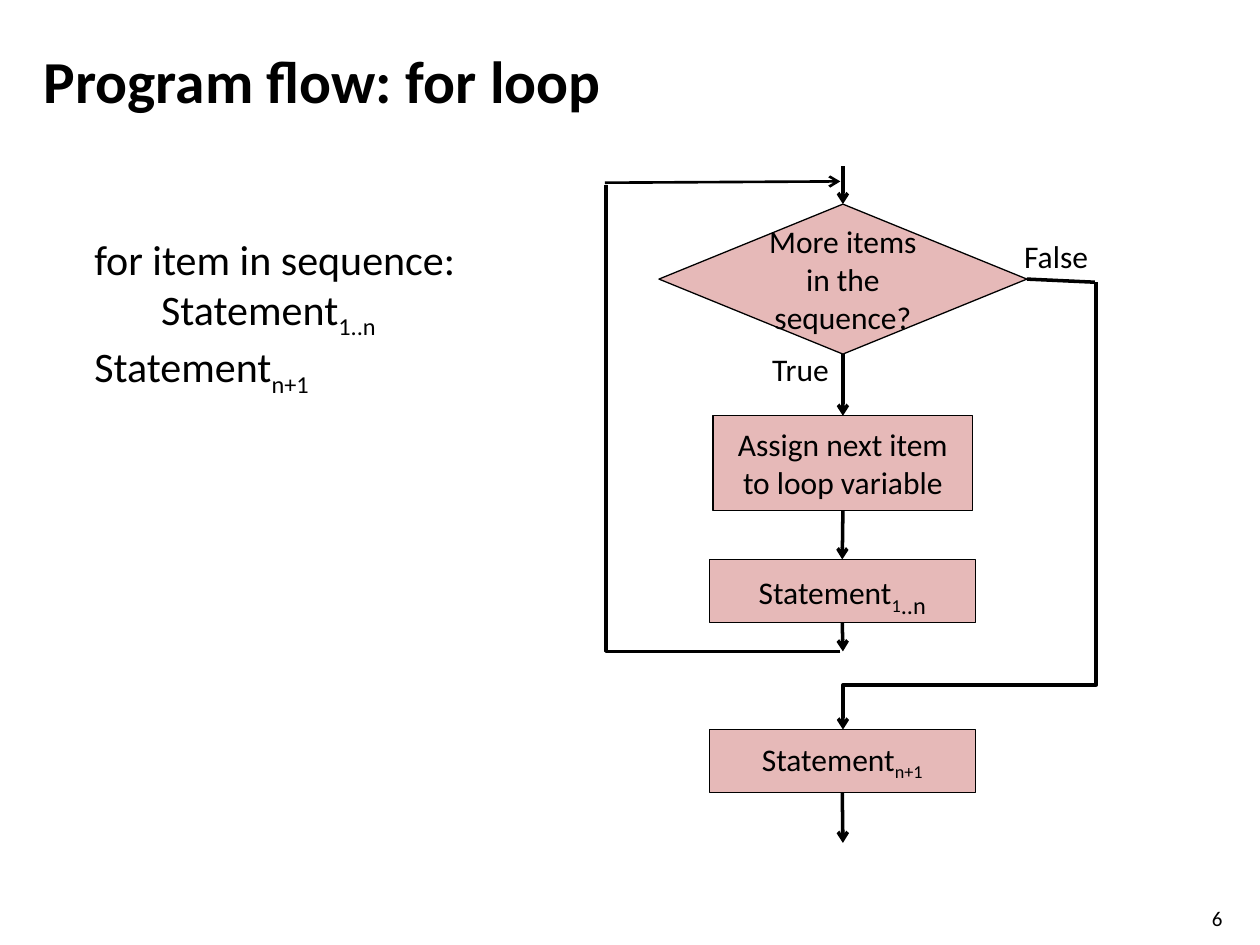
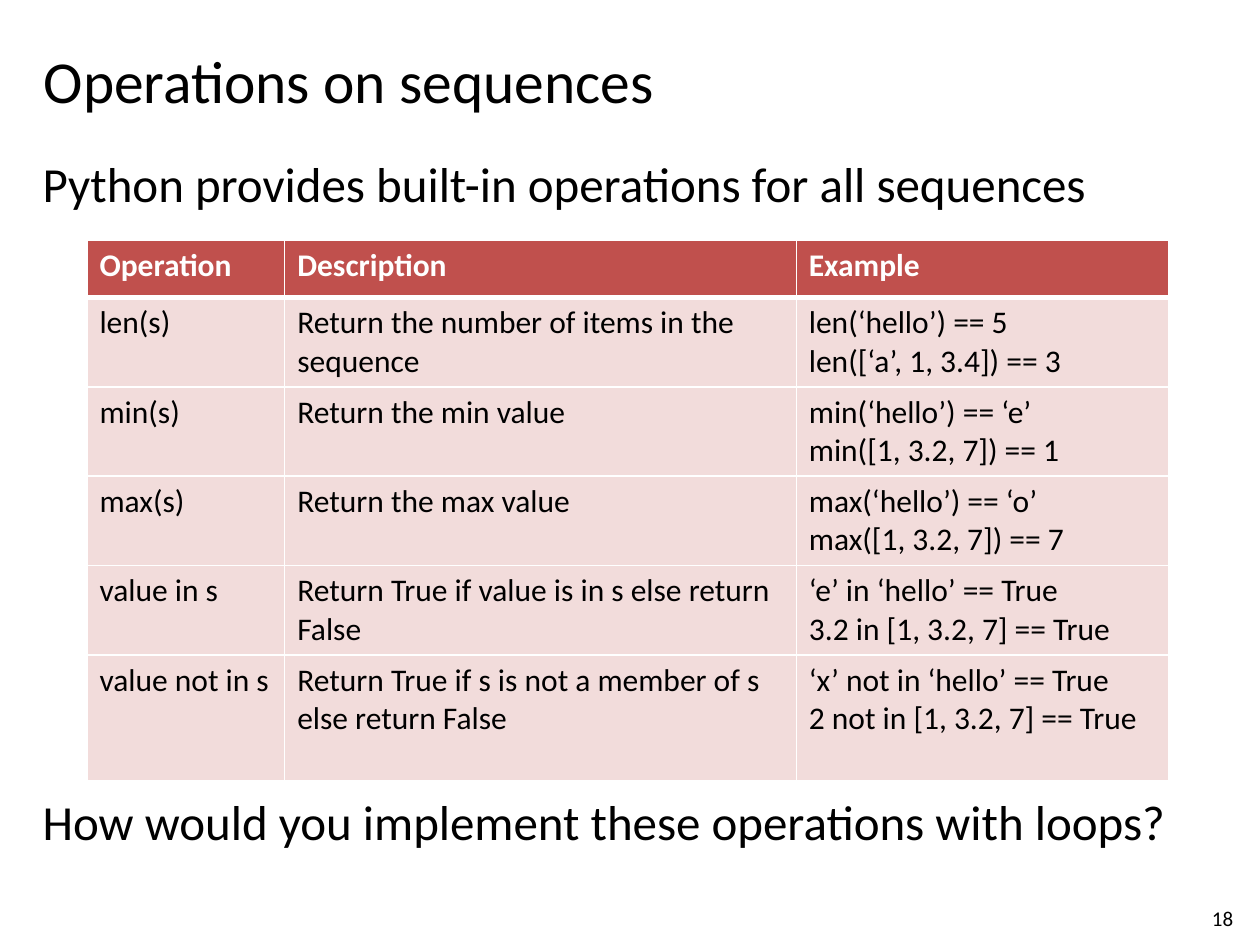
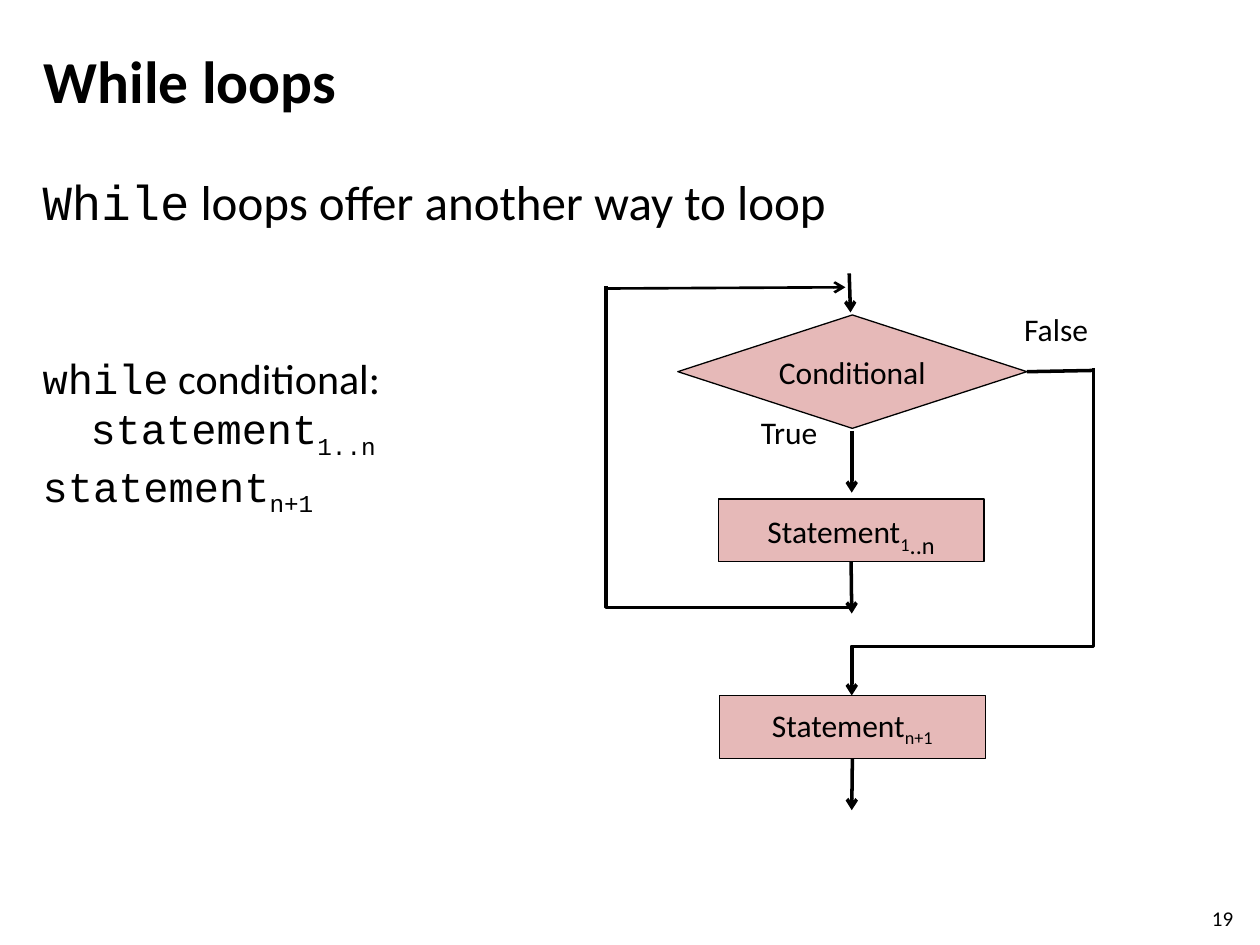
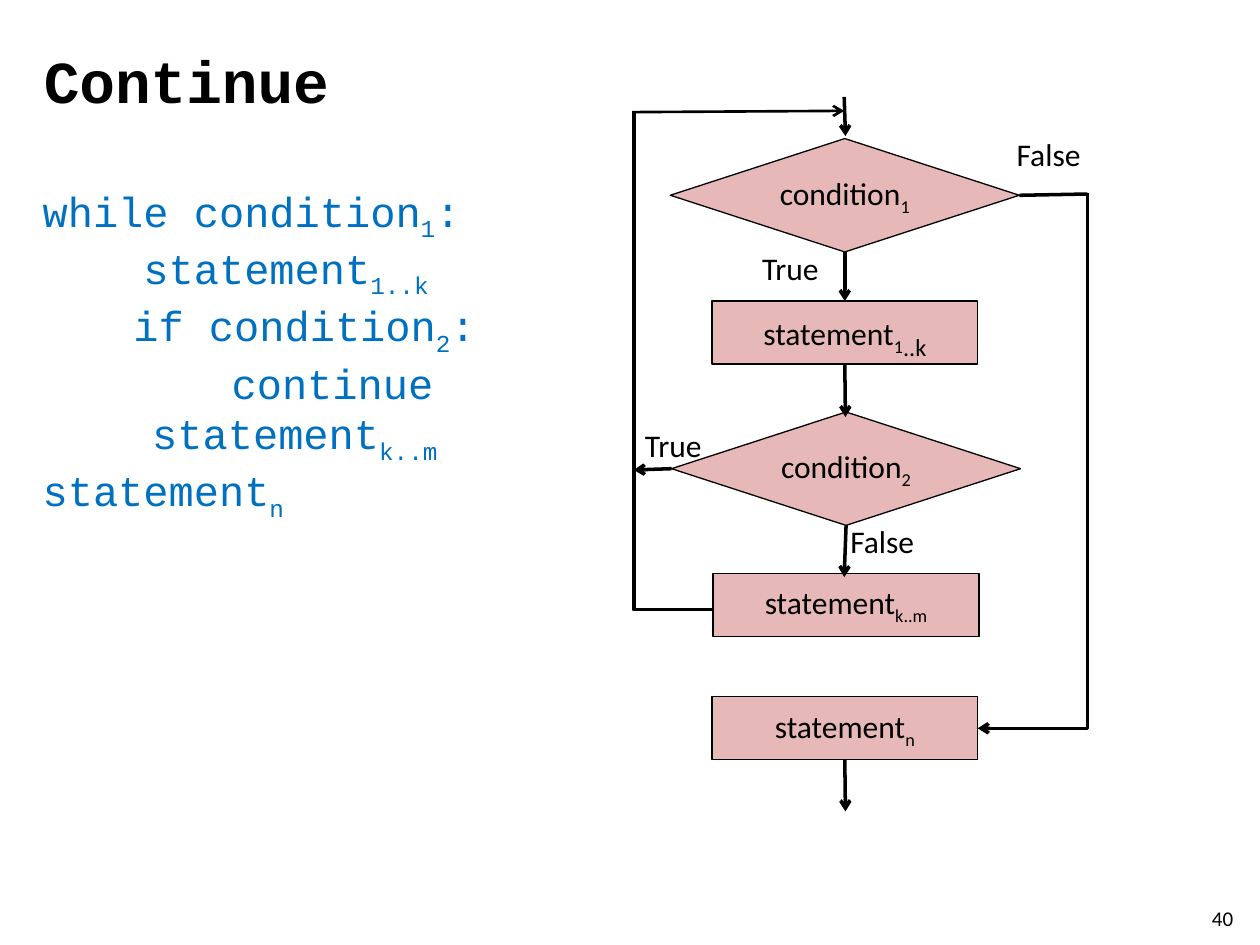
"""Build four slides on Python loops, with flow charts and a table."""
from lxml import etree
from pptx import Presentation, util as u
from pptx.dml.color import RGBColor
from pptx.enum import shapes, text
from pptx.oxml.ns import qn

hue = RGBColor.from_string
INCH, PT = u.Inches, u.Pt
BLACK, WHITE, PINK = "000000", "FFFFFF", "E6B9B8"
RED, PALE, BLUE = "C0504D", "F2DCDB", "0070C0"
MONO = {"name": "Courier New"}
SUB = {"sub": True}
BIG = {"sub": True, "size": PT(24)}
BASE = {"name": "Calibri", "size": PT(18), "bold": False, "color": BLACK}
CODE = BASE | {"size": PT(24)}
BODY = BASE | {"size": PT(28)}
BLOCK = CODE | MONO | {"color": BLUE}
DIAMOND = shapes.MSO_SHAPE.FLOWCHART_DECISION
RECT = shapes.MSO_SHAPE.RECTANGLE
TOP, LEFT, BOTTOM, RIGHT = range(4)


def write(frame, paras, base):
    """Fill a frame; a paragraph is a dict of settings, then its runs."""
    frame.word_wrap = True
    for n, (look, *runs) in enumerate(paras):
        para = frame.add_paragraph() if n else frame.paragraphs[0]
        for key, val in look.items():
            if key == "indent":
                para._p.get_or_add_pPr().set("marL", str(INCH(val)))
            else:
                setattr(para, key, val)
        for item in runs:
            words, extra = (item, {}) if isinstance(item, str) else item
            run = para.add_run()
            run.text = words
            for key, val in (base | extra).items():
                if key == "color":
                    run.font.color.rgb = hue(val)
                elif key == "sub":
                    run._r.get_or_add_rPr().set("baseline", "-25000")
                else:
                    setattr(run.font, key, val)


def style(con, width, head):
    """Give a connector its black line, its arrowhead and no shadow."""
    con.line.width = PT(width)
    con.line.color.rgb = hue(BLACK)
    prop = con.element.spPr
    if head:
        etree.SubElement(prop.find(qn("a:ln")), qn("a:tailEnd"), type="arrow")
    etree.SubElement(prop, qn("a:effectLst"))


pages = [
    {
        "title": "Program flow: for loop", "bold": True, "num": "6",
        "body": (0.65, 1.8, 3.82, 1.82), "base": CODE,
        "paras": [
            ({}, "for item in sequence:"),
            ({"indent": 0.53}, "Statement", ("1..n", SUB)),
            ({}, "Statement", ("n+1", SUB)),
        ],
        "nodes": {
            "assign": (RECT, 5.66, 3.3, 2.06, 0.75, ["Assign next item to loop variable"]),
            "inner": (RECT, 5.63, 4.44, 2.11, 0.5, ["Statement", ("1", SUB), ("..n", BIG)]),
            "test": (DIAMOND, 5.23, 1.62, 2.92, 1.19, ["More items in the sequence?"]),
            "next": (RECT, 5.63, 5.79, 2.11, 0.5, ["Statement", ("n+1", SUB)]),
        },
        "lines": [
            ((6.69, 1.32), ("test", TOP), 2, True),
            (("test", BOTTOM), ("assign", TOP), 2, True),
            (("assign", BOTTOM), ("inner", TOP), 2, True),
            (("inner", BOTTOM), (6.69, 5.17), 2, True),
            (("next", BOTTOM), (6.69, 6.69), 2, True),
            ((4.8, 1.45), (6.67, 1.44), 1.5, True),
            (("test", RIGHT), (8.69, 2.24), 2, False),
        ],
        "bends": [
            (6.67, 5.17, 4.81, 1.47, 0, False),
            (8.7, 2.24, 6.69, 5.79, 0.9, True),
        ],
        "labels": [("True", 6.03, 2.73, 1.08), ("False", 8.03, 1.83, 1.08)],
    },
    {
        "title": "Operations on sequences", "bold": False, "num": "18",
        "body": (0.24, 1.17, 9.76, 4.93), "base": BODY,
        "paras": [
            ({"space_after": PT(12)}, "Python provides built-in operations for all sequences"),
            ({"space_before": PT(319)}, "How would you implement these operations with loops?"),
        ],
        "table": [
            ["Operation", "Description", "Example"],
            ["len(s)", "Return the number of items in the sequence",
             "len(‘hello’) == 5\nlen([‘a’, 1, 3.4]) == 3"],
            ["min(s)", "Return the min value",
             "min(‘hello’) == ‘e’\nmin([1, 3.2, 7]) == 1"],
            ["max(s)", "Return the max value",
             "max(‘hello’) == ‘o’\nmax([1, 3.2, 7]) == 7"],
            ["value in s", "Return True if value is in s else return False",
             "‘e’ in ‘hello’ == True\n3.2 in [1, 3.2, 7] == True"],
            ["value not in s", "Return True if s is not a member of s else return False",
             "‘x’ not in ‘hello’ == True\n2 not in [1, 3.2, 7] == True"],
        ],
    },
    {
        "title": "While loops", "bold": True, "num": "19",
        "body": (0.24, 1.31, 9.25, 4.93), "base": CODE,
        "paras": [
            ({"space_after": PT(12)}, ("While", BODY | MONO),
             (" loops offer another way to loop", BODY)),
            ({"space_before": PT(58)}, ("while", MONO), " conditional:"),
            ({"indent": 0.38}, ("statement", MONO), ("1..n", MONO | SUB)),
            ({}, ("statement", MONO), ("n+1", MONO | SUB)),
        ],
        "nodes": {
            "inner": (RECT, 5.7, 3.96, 2.11, 0.5, ["Statement", ("1", SUB), ("..n", BIG)]),
            "test": (DIAMOND, 5.38, 2.5, 2.77, 0.9, ["Conditional"]),
            "next": (RECT, 5.71, 5.52, 2.11, 0.5, ["Statement", ("n+1", SUB)]),
        },
        "lines": [
            ((6.74, 2.17), (6.75, 2.48), 2, True),
            ((6.76, 3.42), (6.76, 3.91), 2, True),
            (("inner", BOTTOM), (6.76, 4.87), 2, True),
            (("next", BOTTOM), (6.76, 6.43), 2, True),
            ((4.81, 2.29), (6.71, 2.28), 1.5, True),
            (("test", RIGHT), (8.69, 2.94), 2, False),
        ],
        "bends": [
            (6.75, 4.82, 4.81, 2.27, 0, False),
            (8.68, 2.92, 6.76, 5.52, 0.85, True),
        ],
        "labels": [("True", 5.94, 3.23, 0.67), ("False", 8.03, 2.41, 1.08)],
    },
    {
        "title": "Continue", "bold": True, "face": MONO, "num": "40",
        "body": (0.24, 1.42, 9.5, 4.93), "base": BLOCK,
        "paras": [
            ({}, "while condition", ("1", SUB), ":"),
            ({"indent": 0.8}, "statement", ("1..k", SUB)),
            ({"indent": 0.72}, "if condition", ("2", SUB), ":"),
            ({"indent": 1.5}, "continue"),
            ({"indent": 0.87}, "statement", ("k..m", SUB)),
            ({}, "statement", ("n", SUB)),
        ],
        "nodes": {
            "first": (RECT, 5.65, 2.39, 2.11, 0.5, ["statement", ("1", SUB), ("..k", BIG)]),
            "test": (DIAMOND, 5.32, 1.1, 2.77, 0.9, ["condition", ("1", SUB)]),
            "last": (RECT, 5.65, 5.53, 2.11, 0.5, ["statement", ("n", SUB)]),
            "skip": (DIAMOND, 5.33, 3.27, 2.77, 0.9, ["condition", ("2", SUB)]),
            "rest": (RECT, 5.66, 4.55, 2.11, 0.5, ["statement", ("k..m", SUB)]),
        },
        "lines": [
            ((6.7, 0.77), (6.71, 1.08), 2, True),
            (("test", BOTTOM), ("first", TOP), 2, True),
            (("first", BOTTOM), (6.71, 3.31), 2, True),
            (("skip", BOTTOM), (6.7, 4.58), 2, True),
            (("last", BOTTOM), (6.71, 6.44), 2, True),
            ((5.02, 0.89), (6.7, 0.88), 1.5, True),
            (("test", RIGHT), (8.63, 1.54), 2, False),
            (("skip", LEFT), (5.03, 3.73), 2, True),
        ],
        "bends": [
            (5.65, 4.84, 5.03, 0.88, 0, False),
            (8.63, 1.53, 7.76, 5.78, None, True),
        ],
        "labels": [
            ("True", 5.95, 1.93, 0.67), ("False", 7.97, 1.02, 0.81),
            ("True", 5.02, 3.33, 0.81), ("False", 6.65, 4.09, 0.81),
        ],
    },
]

deck = Presentation()
deck.slide_width, deck.slide_height = INCH(10), INCH(7.5)

for page in pages:
    slide = deck.slides.add_slide(deck.slide_layouts[6])
    pool = slide.shapes
    head = BASE | {"size": PT(34), "bold": page["bold"]} | page.get("face", {})
    foot = BASE | {"size": PT(12)}
    for spot, paras, base in [
        (page["body"], page["paras"], page["base"]),
        ((0.25, 0.3, 8.67, 0.7), [({}, page["title"])], head),
        ((9.52, 7.14, 0.4, 0.24), [({}, page["num"])], foot),
    ]:
        write(pool.add_textbox(*map(INCH, spot)).text_frame, paras, base)

    nodes = {}
    for name, (kind, *spot, runs) in page.get("nodes", {}).items():
        node = nodes[name] = pool.add_shape(kind, *map(INCH, spot))
        node.shadow.inherit = False
        node.fill.solid()
        node.fill.fore_color.rgb = hue(PINK)
        node.line.color.rgb = hue(BLACK)
        node.line.width = PT(0.75)
        node.text_frame.vertical_anchor = text.MSO_ANCHOR.MIDDLE
        write(node.text_frame, [({"alignment": text.PP_ALIGN.CENTER}, *runs)], BASE)

    for start, end, width, arrow in page.get("lines", []):
        ends = [(0, 0) if pos[0] in nodes else pos for pos in (start, end)]
        con = pool.add_connector(shapes.MSO_CONNECTOR.STRAIGHT, *map(INCH, ends[0] + ends[1]))
        for pos, join in ((start, con.begin_connect), (end, con.end_connect)):
            if pos[0] in nodes:
                join(nodes[pos[0]], pos[1])
        style(con, width, arrow)

    for x1, y1, x2, y2, turn, arrow in page.get("bends", []):
        midx, midy = (x1 + x2) / 2, (y1 + y2) / 2
        long, wide = abs(y2 - y1) / 2, abs(x2 - x1) / 2
        box = (midx - long, midy - wide, midx + long, midy + wide)
        con = pool.add_connector(shapes.MSO_CONNECTOR.ELBOW, *map(INCH, box))
        down = y2 > y1
        form = con.element.spPr.find(qn("a:xfrm"))
        form.set("rot", str((90 if down else 270) * 60000))
        if down != (x2 < x1):
            form.set("flipV", "1")
        geom = con.element.spPr.find(qn("a:prstGeom"))
        if turn is None:
            geom.set("prst", "bentConnector2")
        else:
            guide = geom.find(qn("a:avLst"))
            if guide is None:
                guide = etree.SubElement(geom, qn("a:avLst"))
            etree.SubElement(guide, qn("a:gd"), name="adj1", fmla=f"val {round(turn * 100000)}")
        style(con, 2, arrow)

    for word, x, y, width in page.get("labels", []):
        frame = pool.add_textbox(*map(INCH, (x, y, width, 0.4))).text_frame
        write(frame, [({}, word)], BASE)
        frame.auto_size = text.MSO_AUTO_SIZE.SHAPE_TO_FIT_TEXT

    if "table" in page:
        rows = page["table"]
        spot = map(INCH, (0.69, 1.91, 8.6, 4.29))
        grid = pool.add_table(len(rows), len(rows[0]), *spot).table
        for col, width in zip(grid.columns, (1.57, 4.06, 2.96)):
            col.width = INCH(width)
        for row, tall in zip(grid.rows, (0.45, 0.71, 0.71, 0.71, 0.71, 1)):
            row.height = INCH(tall)
        for r, row in enumerate(rows):
            tone = BASE if r else BASE | {"bold": True, "color": WHITE}
            for c, words in enumerate(row):
                cell = grid.cell(r, c)
                write(cell.text_frame, [({}, part) for part in words.split("\n")], tone)
                prop = cell._tc.get_or_add_tcPr()
                for side in "LRTB":
                    thick = 3 if (r, side) in ((0, "B"), (1, "T")) else 1
                    edge = etree.SubElement(prop, qn(f"a:ln{side}"), w=str(PT(thick)))
                    fill = etree.SubElement(edge, qn("a:solidFill"))
                    etree.SubElement(fill, qn("a:srgbClr"), val=WHITE)
                cell.fill.solid()
                cell.fill.fore_color.rgb = hue(PALE if r else RED)

deck.save("out.pptx")
